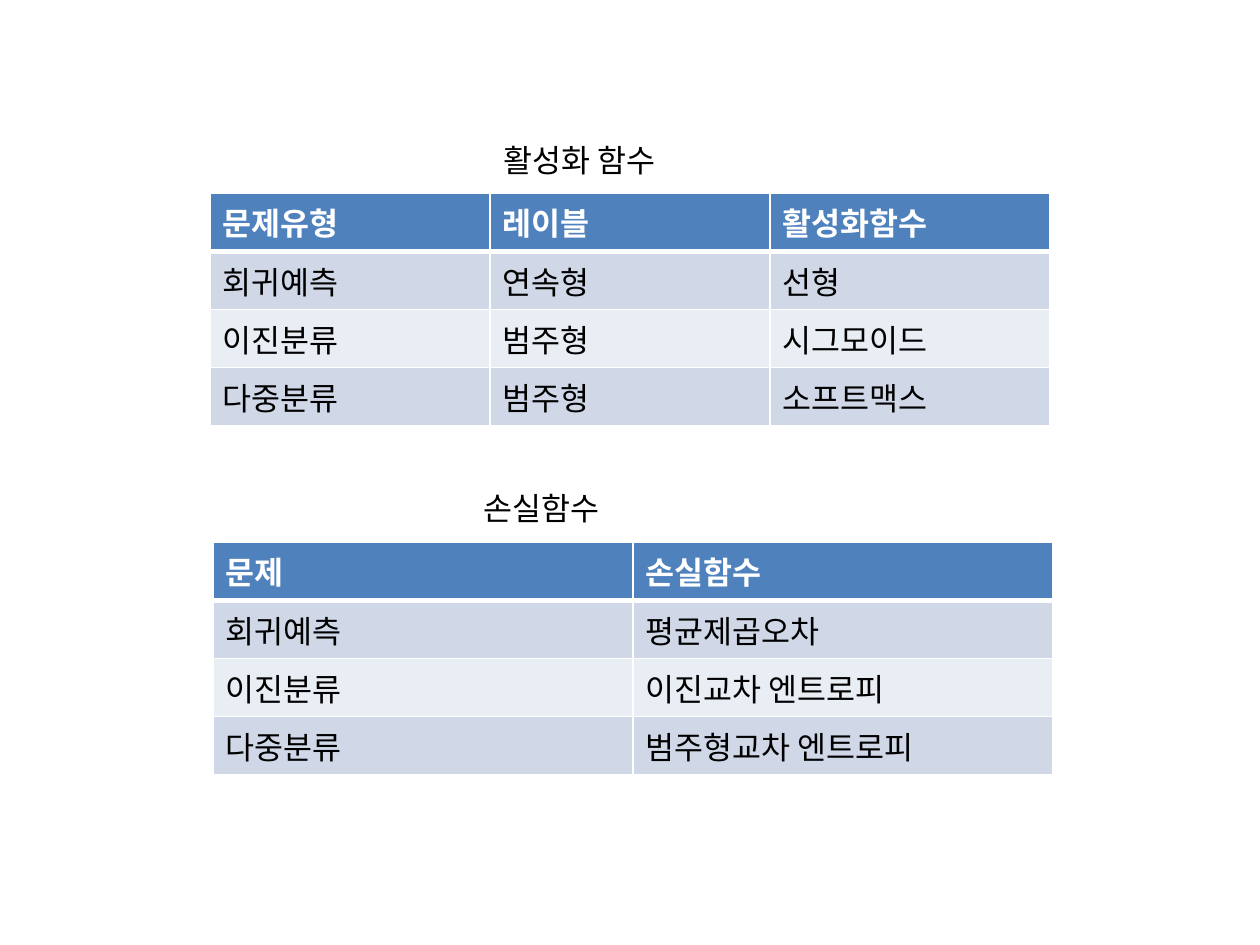
"""Build a slide with tables of activation and loss functions by problem type."""
from dataclasses import dataclass

from lxml import etree
from pptx import Presentation
from pptx import util as u
from pptx.dml.color import RGBColor
from pptx.enum import text
from pptx.oxml import ns

EMU_PER_PX = 914400 / 126


@dataclass(frozen=True)
class Theme:
    """Colours, font and sizes of the slide."""
    font: str = "Noto Sans CJK KR"
    size: int = 18
    ink: str = "000000"
    white: str = "FFFFFF"
    header: str = "4F81BD"
    bands: tuple = ("D0D8E8", "E9EDF4")
    rule: int = 1
    header_rule: int = 3


THEME = Theme()

ACTIVATIONS = [
    ("문제유형", "레이블", "활성화함수"),
    ("회귀예측", "연속형", "선형"),
    ("이진분류", "범주형", "시그모이드"),
    ("다중분류", "범주형", "소프트맥스"),
]
LOSSES = [
    ("문제", "손실함수"),
    ("회귀예측", "평균제곱오차"),
    ("이진분류", "이진교차 엔트로피"),
    ("다중분류", "범주형교차 엔트로피"),
]


def px(length):
    """Turn pixels into EMU."""
    return u.Emu(round(length * EMU_PER_PX))


def add_run(paragraph, words, colour, bold=False):
    """Add one run in the theme font."""
    run = paragraph.add_run()
    run.text = words
    font = run.font
    font.size = u.Pt(THEME.size)
    font.bold = bold
    font.color.rgb = RGBColor.from_string(colour)
    font.name = THEME.font
    east_asian = etree.SubElement(run._r.get_or_add_rPr(), ns.qn("a:ea"))
    east_asian.set("typeface", THEME.font)


def set_borders(cell, top, bottom):
    """Rule the four sides of a cell in white."""
    widths = {"L": THEME.rule, "R": THEME.rule, "T": top, "B": bottom}
    properties = cell._tc.get_or_add_tcPr()
    for position, (side, width) in enumerate(widths.items()):
        line = etree.Element(ns.qn(f"a:ln{side}"), w=str(u.Pt(width)))
        fill = etree.SubElement(line, ns.qn("a:solidFill"))
        etree.SubElement(fill, ns.qn("a:srgbClr"), val=THEME.white)
        properties.insert(position, line)


def style_cell(cell, words, row):
    """Fill, rule and letter a cell by its row."""
    is_header = row == 0
    background = THEME.header if is_header else THEME.bands[(row - 1) % 2]
    cell.fill.solid()
    cell.fill.fore_color.rgb = RGBColor.from_string(background)
    set_borders(cell,
                top=THEME.header_rule if row == 1 else THEME.rule,
                bottom=THEME.header_rule if is_header else THEME.rule)
    add_run(cell.text_frame.paragraphs[0], words,
            THEME.white if is_header else THEME.ink, is_header)


def add_function_table(slide, left, top, entries, width=840, row_height=58):
    """Add a banded table with equal columns and rows."""
    rows, columns = len(entries), len(entries[0])
    table = slide.shapes.add_table(
        rows, columns, px(left), px(top), px(width), px(rows * row_height)).table
    for column in table.columns:
        column.width = px(width // columns)
    for row, entry in enumerate(entries):
        table.rows[row].height = px(row_height)
        for column, words in enumerate(entry):
            style_cell(table.cell(row, column), words, row)


def add_caption(slide, left, top, words):
    """Add the caption above a table."""
    frame = slide.shapes.add_textbox(px(left), px(top), px(228), px(50)).text_frame
    frame.word_wrap = True
    frame.auto_size = text.MSO_AUTO_SIZE.SHAPE_TO_FIT_TEXT
    add_run(frame.paragraphs[0], words, THEME.ink)


def main():
    """Build and save the slide."""
    deck = Presentation()
    deck.slide_width, deck.slide_height = px(1260), px(945)
    slide = deck.slides.add_slide(deck.slide_layouts[6])
    add_function_table(slide, 210, 193, ACTIVATIONS)
    add_function_table(slide, 213, 542, LOSSES)
    add_caption(slide, 471, 483, "손실함수")
    add_caption(slide, 491, 135, "활성화 함수")
    deck.save("out.pptx")


if __name__ == "__main__":
    main()
